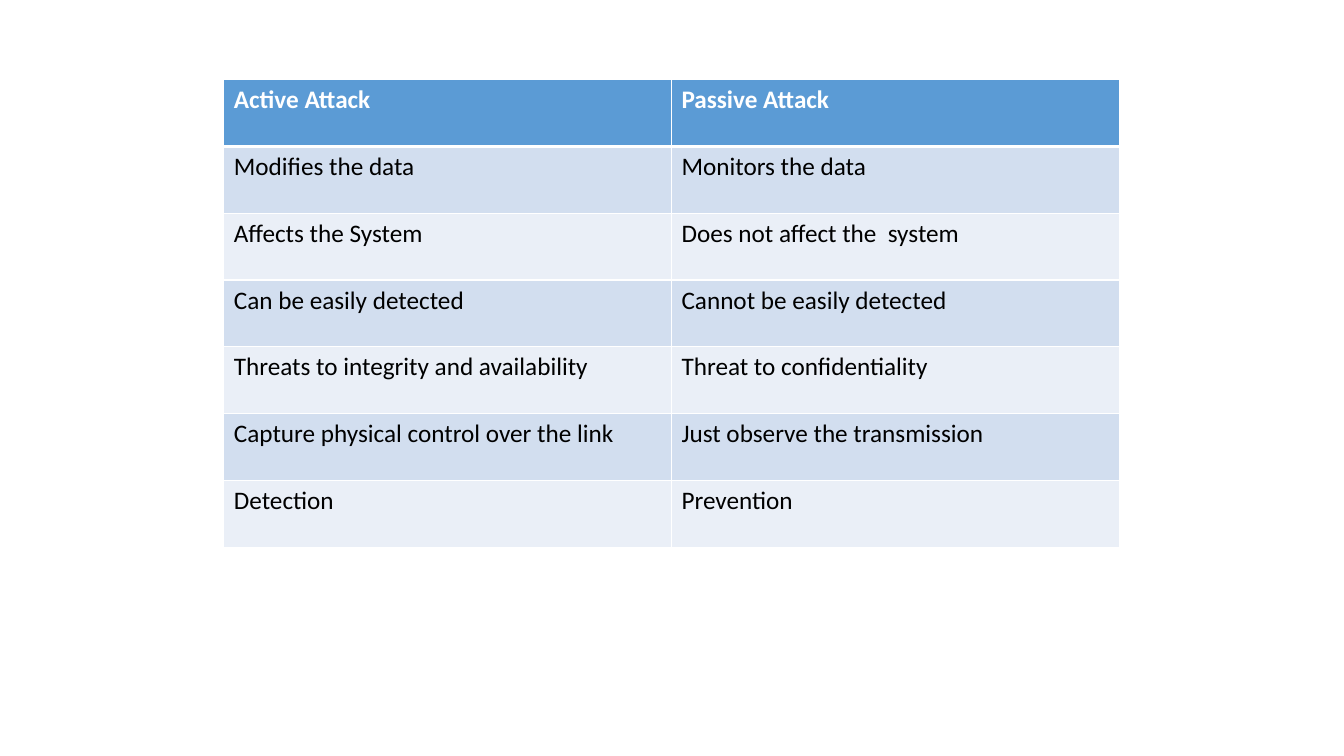
from pptx import Presentation
from pptx.dml.color import RGBColor
from pptx.oxml import ns
from pptx.util import Inches, Pt
from lxml import etree

COLORS = {
    "header": "5B9BD5",
    "odd": "D2DEEF",
    "even": "EAEFF7",
    "white": "FFFFFF",
    "black": "000000",
}

ATTACKS = [
    ("Active Attack", "Passive Attack"),
    ("Modifies the data", "Monitors the data"),
    ("Affects the System", "Does not affect the  system"),
    ("Can be easily detected", "Cannot be easily detected"),
    ("Threats to integrity and availability", "Threat to confidentiality"),
    ("Capture physical control over the link", "Just observe the transmission"),
    ("Detection", "Prevention"),
]


def add_border(cell, side, width):
    """Draw a white line of the given width on one side (L, R, T or B)."""
    tcPr = cell._tc.get_or_add_tcPr()
    ln = etree.SubElement(tcPr, ns.qn(f"a:ln{side}"), w=str(Pt(width)))
    fill = etree.SubElement(ln, ns.qn("a:solidFill"))
    etree.SubElement(fill, ns.qn("a:srgbClr"), val=COLORS["white"])


prs = Presentation()
prs.slide_width, prs.slide_height = Inches(13.33), Inches(7.5)
s = prs.slides.add_slide(prs.slide_layouts[6])

table = s.shapes.add_table(
    len(ATTACKS), 2, Inches(2.22), Inches(0.79), Inches(8.88), Inches(4.64)
).table

for i, row in enumerate(ATTACKS):
    is_header = i == 0
    band = "header" if is_header else "odd" if i % 2 else "even"
    widths = {"L": 1, "R": 1, "T": 3 if i == 1 else 1, "B": 3 if is_header else 1}
    for j, label in enumerate(row):
        cell = table.cell(i, j)
        for side, width in widths.items():
            add_border(cell, side, width)
        cell.fill.solid()
        cell.fill.fore_color.rgb = RGBColor.from_string(COLORS[band])
        r = cell.text_frame.paragraphs[0].add_run()
        r.text = label
        r.font.name = "Calibri"
        r.font.size = Pt(18)
        r.font.bold = is_header
        r.font.color.rgb = RGBColor.from_string(COLORS["white" if is_header else "black"])

prs.save("out.pptx")
